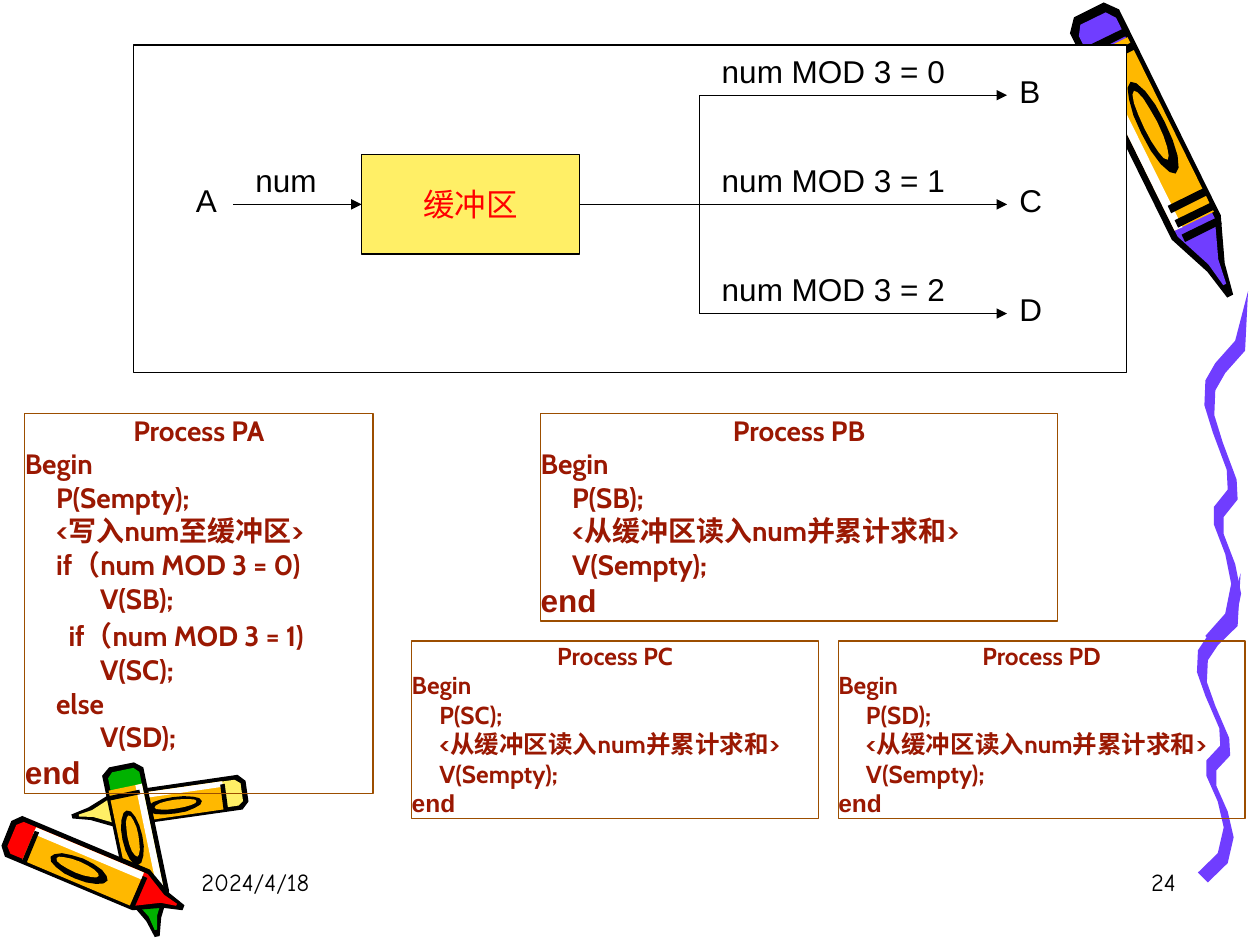
from math import cos, hypot, pi, sin

from lxml import etree
from pptx import Presentation
from pptx.dml.color import RGBColor
from pptx.enum.shapes import MSO_CONNECTOR, MSO_SHAPE
from pptx.enum.text import MSO_ANCHOR, PP_ALIGN
from pptx.oxml.ns import qn
from pptx.util import Cm, Pt

STRAIGHT = MSO_CONNECTOR.STRAIGHT
RECTANGLE = MSO_SHAPE.RECTANGLE
TOP, MIDDLE = MSO_ANCHOR.TOP, MSO_ANCHOR.MIDDLE
LEFT, CENTER, RIGHT = PP_ALIGN.LEFT, PP_ALIGN.CENTER, PP_ALIGN.RIGHT

BLACK = RGBColor(0, 0, 0)
WHITE = RGBColor(0xFF, 0xFF, 0xFF)
PURPLE = RGBColor(0x70, 0x3D, 0xFF)
ORANGE = RGBColor(0xFF, 0xB8, 0x00)
YELLOW = RGBColor(0xFF, 0xEF, 0x66)
RED = RGBColor(0xFF, 0, 0)
GREEN = RGBColor(0, 0xB2, 0)
BROWN = RGBColor(0x9C, 0x4E, 0x00)
CODE_RED = RGBColor(0x9A, 0x18, 0x02)

# Crayons: wax colour, blunt end, tip, width (cm), side of the highlight, bands
CRAYONS = [
    (YELLOW, (4.98, 15.95), (1.45, 16.46), 0.7, 1, [0.12, 0.74]),
    (GREEN, (2.45, 15.42), (3.17, 18.88), 0.85, -1, [0.16, 0.74]),
    (RED, (0.13, 16.8), (3.7, 18.3), 0.9, -1, [0.13, 0.74]),
    (PURPLE, (21.95, 0.2), (24.8, 5.97), 1.1, 1, [0.1, 0.15, 0.66, 0.71, 0.76]),
]

# Half of a crayon's outline: (share of length from the blunt end, share of width)
OUTER_HALF = [(0, 0.3), (0.04, 0.5), (0.76, 0.5), (0.9, 0.18), (1, 0.06)]
WAX_HALF = [(0.03, 0.26), (0.06, 0.38), (0.76, 0.38), (0.88, 0.1), (0.96, 0.03)]
BODY_START, BODY_END = 0.13, 0.74

# Squiggle: centre line of one wave (x, distance below its top), drawn twice
WAVE = [(25.16, 0), (25, 1.1), (24.6, 1.55), (24.4, 1.9), (24.38, 2.4), (24.55, 2.95),
        (24.83, 3.7), (24.85, 4.1), (24.57, 4.45), (24.57, 4.8), (24.8, 5.4),
        (24.92, 6), (24.8, 6.6), (24.4, 7.05)]
WAVE_PLACES = [(0, 5.87, 1), (-0.15, 11.56, 0.87)]  # shift, top, height factor
NIB = 0.1

# Diagram: consumer and condition of each branch, top to bottom
BRANCHES = [("B", "num MOD 3 = 0"), ("C", "num MOD 3 = 1"), ("D", "num MOD 3 = 2")]
LANE_TOP, LANE_GAP = 1.92, 2.2
TRUNK_X, TARGET_X = 14.1, 20.3

# Code boxes; a line given as a tuple is made of several runs
PRODUCER = ["Process PA", "Begin", "     P(Sempty);", "     <写入num至缓冲区>",
            "     if（num MOD 3 = 0)", "            V(SB);",
            ("     ", "if（num MOD 3 = 1)"), "            V(SC);",
            "     else", "            V(SD);", "end"]


def consumer(name):
    return [f"Process P{name}", "Begin", f"     P(S{name});",
            "     <从缓冲区读入num并累计求和>", "     V(Sempty);", "end"]


# lines, (left, top, width, height) in cm, code size, size of "end"
PROCESSES = [
    (PRODUCER, (0.5, 8.33, 7.02, 7.67), 16, 18),
    (consumer("B"), (10.9, 8.33, 10.42, 4.19), 16, 18),
    (consumer("C"), (8.3, 12.92, 8.2, 3.58), 14, 14),
    (consumer("D"), (16.9, 12.92, 8.2, 3.58), 14, 14),
]

presentation = Presentation()
presentation.slide_width, presentation.slide_height = Cm(25.4), Cm(19.05)
slide = presentation.slides.add_slide(presentation.slide_layouts[6])


def add_outline(shapes, points, color):
    """Fill a closed outline whose points are in cm."""
    units = [(round(x * 100), round(y * 100)) for x, y in points]
    builder = shapes.build_freeform(*units[0], scale=Cm(0.01))
    builder.add_line_segments(units[1:], close=True)
    shape = builder.convert_to_shape()
    shape.shadow.inherit = False
    shape.fill.solid()
    shape.fill.fore_color.rgb = color
    shape.line.fill.background()


def mirrored(half):
    return half + [(along, -across) for along, across in reversed(half)]


def block(start, end, low, high):
    return [(start, low), (end, low), (end, high), (start, high)]


def oval(along, across, half_length, half_width, steps=16):
    angles = [2 * pi * step / steps for step in range(steps)]
    return [(along + half_length * cos(a), across + half_width * sin(a)) for a in angles]


def add_crayon(wax, blunt, tip, width, side, bands):
    """Draw a crayon in its own axes, turned to run from blunt end to tip."""
    dx, dy = tip[0] - blunt[0], tip[1] - blunt[1]
    across_scale = side * width / hypot(dx, dy)
    parts = [
        (BLACK, mirrored(OUTER_HALF)),
        (wax, mirrored(WAX_HALF)),
        (ORANGE, block(BODY_START, BODY_END, -0.42, 0.38)),
        (WHITE, block(BODY_START, BODY_END, 0.22, 0.38)),
        (BLACK, oval(0.42, -0.1, 0.16, 0.24)),
        (ORANGE, oval(0.41, -0.08, 0.12, 0.13)),
    ]
    parts += [(BLACK, block(band, band + 0.025, -0.45, 0.3)) for band in bands]
    group = slide.shapes.add_group_shape()
    for color, outline in parts:
        points = [(blunt[0] + along * dx - across * across_scale * dy,
                   blunt[1] + along * dy + across * across_scale * dx)
                  for along, across in outline]
        add_outline(group.shapes, points, color)


def add_wave(shift, top, factor):
    """Draw the wave as if with a slanted nib, starting from a sharp end."""
    line = [(x + shift, top + down * factor) for x, down in WAVE]
    left = [(x - NIB, y - NIB) for x, y in line[1:]]
    right = [(x + NIB, y + NIB) for x, y in line[1:]]
    add_outline(slide.shapes, line[:1] + right + left[::-1], PURPLE)


def add_line(x1, y1, x2, y2, arrow=False):
    line = slide.shapes.add_connector(STRAIGHT, Cm(x1), Cm(y1), Cm(x2), Cm(y2))
    line.line.color.rgb = BLACK
    line.line.width = Pt(0.75)
    properties = line._element.spPr
    if arrow:
        etree.SubElement(properties.find(qn("a:ln")), qn("a:tailEnd"), type="triangle")
    etree.SubElement(properties, qn("a:effectLst"))
    return line


def add_box(left, top, width, height, line_color, fill=None):
    box = slide.shapes.add_shape(RECTANGLE, Cm(left), Cm(top), Cm(width), Cm(height))
    box.shadow.inherit = False
    if fill is None:
        box.fill.background()
    else:
        box.fill.solid()
        box.fill.fore_color.rgb = fill
    box.line.color.rgb = line_color
    box.line.width = Pt(0.75)
    return box


def style(run, size, font, color=BLACK, bold=False):
    run.font.size, run.font.name, run.font.bold = Pt(size), font, bold
    run.font.color.rgb = color


def add_label(text, left, top, width, height=1.02, size=18, font="Arial", align=LEFT):
    frame = slide.shapes.add_textbox(Cm(left), Cm(top), Cm(width), Cm(height)).text_frame
    frame.word_wrap = True
    frame.text = text
    frame.paragraphs[0].alignment = align
    style(frame.paragraphs[0].runs[0], size, font)


# Background decoration, date and slide number
for crayon in CRAYONS:
    add_crayon(*crayon)
for place in WAVE_PLACES:
    add_wave(*place)
add_label("2024/4/18", 3.81, 17.35, 5.28, 1.27, 14, "Comic Neue")
add_label("24", 18.67, 17.35, 5.28, 1.27, 14, "Comic Neue", RIGHT)

# Buffer diagram
add_box(2.69, 0.91, 20.02, 6.6, BLACK, WHITE)
buffer_box = add_box(7.29, 3.12, 4.4, 2, BLACK, YELLOW)
buffer_frame = buffer_box.text_frame
buffer_frame.text = "缓冲区"
buffer_frame.word_wrap = False
buffer_frame.vertical_anchor = MIDDLE
buffer_frame.paragraphs[0].alignment = CENTER
style(buffer_frame.paragraphs[0].runs[0], 18, "Arial", RED)

middle = LANE_TOP + LANE_GAP
add_line(4.7, middle, 7.29, middle, arrow=True).end_connect(buffer_box, 1)
add_label("num", 4.9, middle - 1, 2)
add_label("A", 3.7, middle - 0.6, 1.2)
add_line(TRUNK_X, LANE_TOP, TRUNK_X, LANE_TOP + 2 * LANE_GAP)
for index, (target, condition) in enumerate(BRANCHES):
    lane = LANE_TOP + index * LANE_GAP
    if index == 1:
        add_line(11.69, lane, TARGET_X, lane, arrow=True).begin_connect(buffer_box, 3)
    else:
        add_line(TRUNK_X, lane, TARGET_X, lane, arrow=True)
    add_label(condition, TRUNK_X + 0.2, lane - 1, 5.6)
    add_label(target, TARGET_X, lane - 0.6, 1.2)

# Process code
for lines, place, size, end_size in PROCESSES:
    frame = add_box(*place, BROWN).text_frame
    frame.margin_left = frame.margin_right = frame.margin_top = frame.margin_bottom = 0
    frame.vertical_anchor = TOP
    frame.word_wrap = True
    for index, line in enumerate(lines):
        paragraph = frame.paragraphs[0] if index == 0 else frame.add_paragraph()
        paragraph.alignment = CENTER if index == 0 else LEFT
        for part in (line if isinstance(line, tuple) else (line,)):
            run = paragraph.add_run()
            run.text = part
            plain = part.strip() in ("", "end")
            style(run, end_size if plain else size, "Arial" if plain else "Cabin", CODE_RED, True)

presentation.save("out.pptx")
